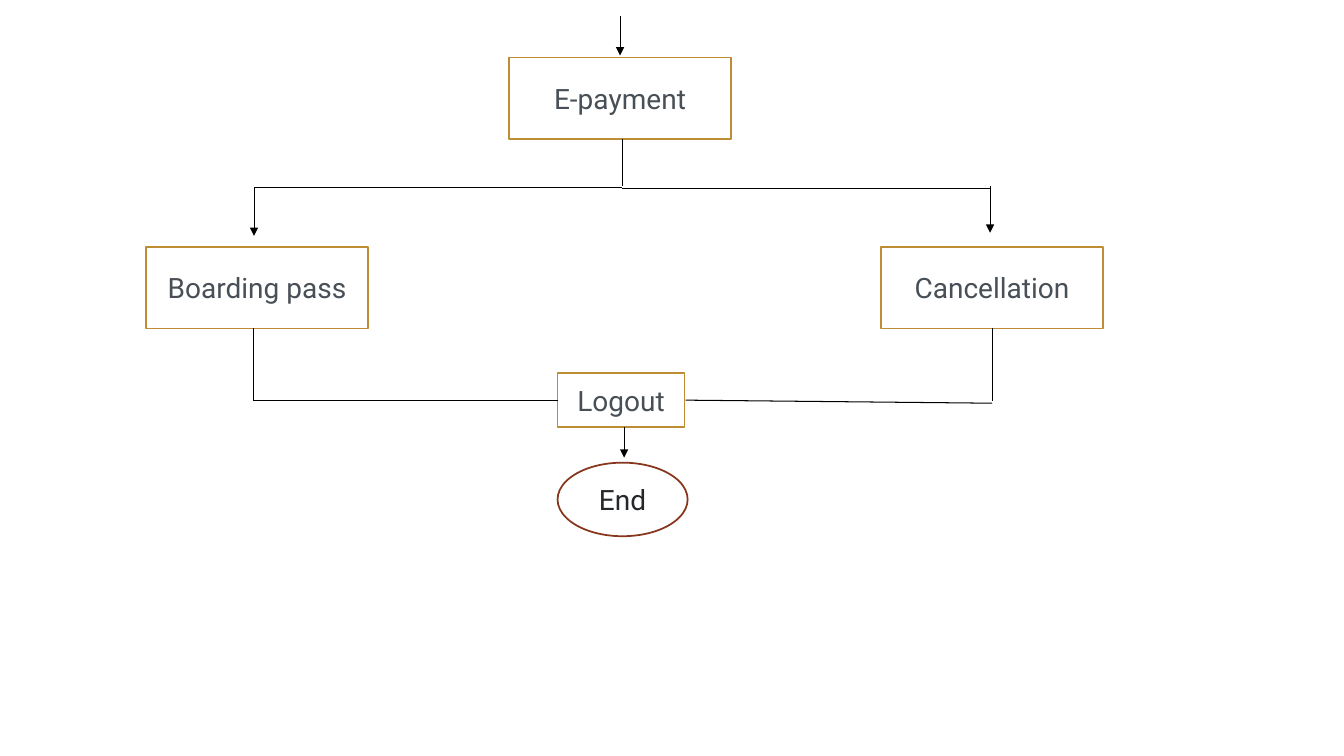
"""Build the final part of a booking flowchart, from payment to end."""
from pptx import Presentation
from pptx.dml.color import RGBColor
from pptx.enum.shapes import MSO_CONNECTOR, MSO_SHAPE
from pptx.enum.text import MSO_ANCHOR, PP_ALIGN
from pptx.oxml.ns import qn
from pptx.util import Inches, Pt
from lxml.etree import SubElement

WHITE = RGBColor(0xFF, 0xFF, 0xFF)
BLACK = RGBColor(0x00, 0x00, 0x00)
GOLD = RGBColor(0xBD, 0x8C, 0x35)
RUST = RGBColor(0x87, 0x36, 0x1C)
GRAY = RGBColor(0x48, 0x4F, 0x56)
DARK = RGBColor(0x24, 0x28, 0x2B)

presentation = Presentation()
presentation.slide_width = Inches(13.33)
presentation.slide_height = Inches(7.5)
slide = presentation.slides.add_slide(presentation.slide_layouts[6])

steps = [
    ("E-payment", MSO_SHAPE.RECTANGLE, 5.05, 0.57, 2.2, 0.81, GOLD, GRAY),
    ("Boarding pass", MSO_SHAPE.RECTANGLE, 1.45, 2.45, 2.2, 0.81, GOLD, GRAY),
    ("Cancellation", MSO_SHAPE.RECTANGLE, 8.74, 2.45, 2.2, 0.81, GOLD, GRAY),
    ("Logout", MSO_SHAPE.RECTANGLE, 5.53, 3.7, 1.26, 0.54, GOLD, GRAY),
    ("End", MSO_SHAPE.OVAL, 5.53, 4.59, 1.29, 0.73, RUST, DARK),
]
for label, kind, left, top, width, height, outline, ink in steps:
    shape = slide.shapes.add_shape(
        kind, Inches(left), Inches(top), Inches(width), Inches(height))
    shape.shadow.inherit = False
    shape.fill.solid()
    shape.fill.fore_color.rgb = WHITE
    shape.line.color.rgb = outline
    shape.line.width = Pt(1.25)
    text_frame = shape.text_frame
    text_frame.text = label
    text_frame.word_wrap = True
    text_frame.vertical_anchor = MSO_ANCHOR.MIDDLE
    paragraph = text_frame.paragraphs[0]
    paragraph.alignment = PP_ALIGN.CENTER
    font = paragraph.runs[0].font
    font.name = "Roboto"
    font.size = Pt(20)
    font.color.rgb = ink

links = [
    (6.15, 0.16, 6.15, 0.55, True),
    (6.17, 1.38, 6.17, 1.85, False),
    (2.52, 1.86, 6.17, 1.86, False),
    (6.17, 1.87, 9.82, 1.87, False),
    (2.52, 1.87, 2.52, 2.34, True),
    (9.82, 1.85, 9.82, 2.31, True),
    (2.51, 3.25, 2.51, 3.98, False),
    (9.84, 3.25, 9.84, 3.98, False),
    (2.52, 3.97, 5.53, 3.97, False),
    (6.8, 3.97, 9.84, 4, False),
    (6.19, 4.24, 6.19, 4.54, True),
]
for start_x, start_y, end_x, end_y, has_arrow in links:
    connector = slide.shapes.add_connector(
        MSO_CONNECTOR.STRAIGHT,
        Inches(start_x), Inches(start_y), Inches(end_x), Inches(end_y))
    connector.line.color.rgb = BLACK
    connector.line.width = Pt(0.75)
    if has_arrow:
        SubElement(connector.get_or_add_ln(), qn("a:tailEnd"), type="triangle")
    SubElement(connector._element.spPr, qn("a:effectLst"))

presentation.save("out.pptx")
